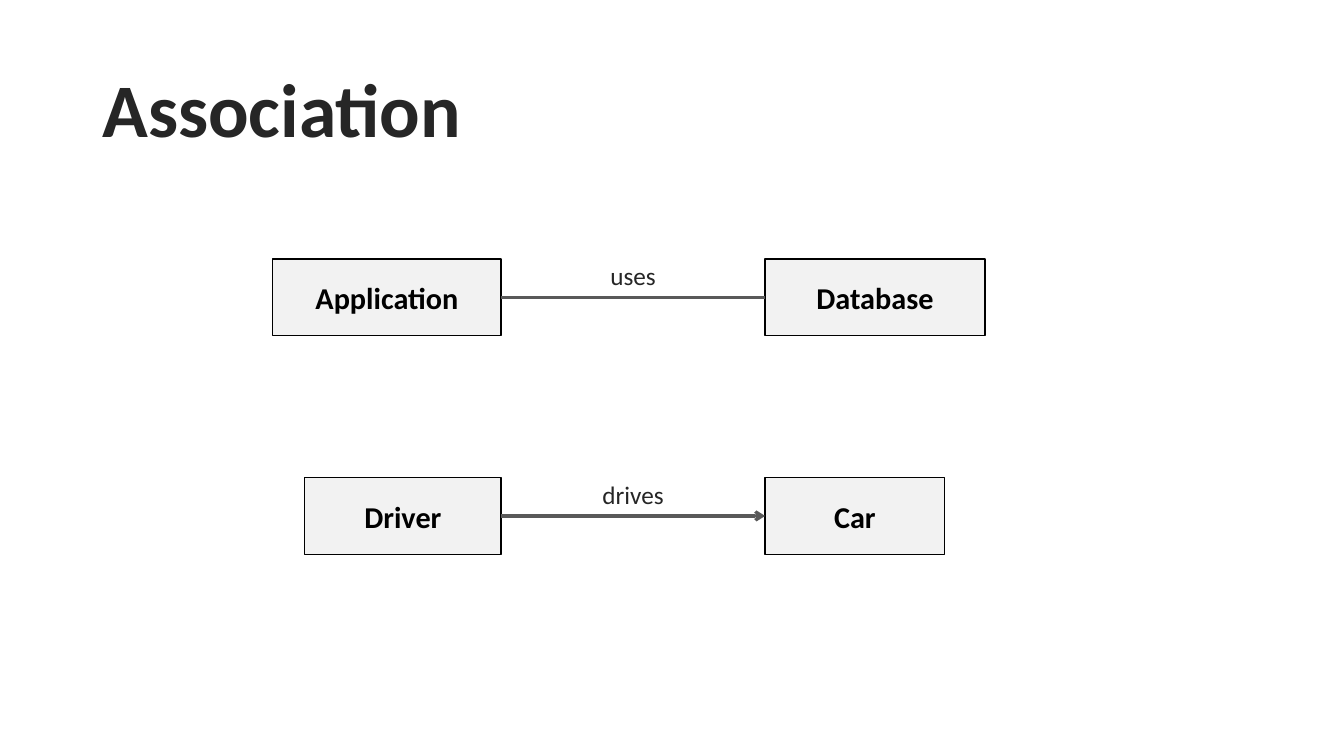
"""Build the Association slide: two pairs of classes joined by labelled lines."""
from lxml import etree
from pptx import Presentation
from pptx.dml.color import RGBColor
from pptx.enum.shapes import MSO_CONNECTOR, MSO_SHAPE
from pptx.enum.text import MSO_ANCHOR, MSO_AUTO_SIZE, PP_ALIGN
from pptx.oxml.ns import qn
from pptx.util import Pt

BLACK = RGBColor(0x00, 0x00, 0x00)
DARK = RGBColor(0x26, 0x26, 0x26)
GREY = RGBColor(0x59, 0x59, 0x59)
PALE = RGBColor(0xF2, 0xF2, 0xF2)

FONT = "Calibri"
BOX_HEIGHT = 54.7
LINK_START, LINK_END = 358, 546.5
LABEL_RISE = 2.5
LABEL_HEIGHT = 29

ASSOCIATIONS = [
    (185, ("Application", 163.2), ("uses", 47.5), ("Database", 157), False),
    (341.2, ("Driver", 140.4), ("drives", 59), ("Car", 128.2), True),
]


def write(frame, text, size, color, bold=False, align=PP_ALIGN.CENTER):
    """Set one paragraph of text and its format."""
    frame.text = text
    paragraph = frame.paragraphs[0]
    paragraph.alignment = align
    font = paragraph.runs[0].font
    font.name, font.size, font.bold = FONT, Pt(size), bold
    font.color.rgb = color


def add_title(slide, text):
    """Place and format the title placeholder."""
    title = slide.shapes.title
    title.left, title.top, title.width, title.height = Pt(66), Pt(28.8), Pt(828), Pt(104.4)
    frame = title.text_frame
    write(frame, text, 54, DARK, bold=True, align=PP_ALIGN.LEFT)
    frame.vertical_anchor = MSO_ANCHOR.MIDDLE
    frame.paragraphs[0].line_spacing = 0.9


def add_class_box(slide, name, left, top, width):
    """Add a class as a pale outlined rectangle."""
    box = slide.shapes.add_shape(
        MSO_SHAPE.RECTANGLE, Pt(left), Pt(top), Pt(width), Pt(BOX_HEIGHT))
    box.shadow.inherit = False
    box.fill.solid()
    box.fill.fore_color.rgb = PALE
    box.line.color.rgb = BLACK
    box.line.width = Pt(1)
    box.text_frame.vertical_anchor = MSO_ANCHOR.MIDDLE
    write(box.text_frame, name, 21.6, BLACK, bold=True)
    return box


def add_link(slide, source, target, directed):
    """Join two class boxes, with an open arrowhead if directed."""
    link = slide.shapes.add_connector(MSO_CONNECTOR.STRAIGHT, 0, 0, 0, 0)
    link.begin_connect(source, 3)
    link.end_connect(target, 1)
    link.line.color.rgb = GREY
    link.line.width = Pt(2.25)
    if directed:
        etree.SubElement(link.line._get_or_add_ln(), qn("a:tailEnd"), type="arrow")
    etree.SubElement(link._element.spPr, qn("a:effectLst"))


def add_label(slide, text, top, width):
    """Add a label centred over the link."""
    left = (LINK_START + LINK_END - width) / 2
    label = slide.shapes.add_textbox(Pt(left), Pt(top), Pt(width), Pt(LABEL_HEIGHT))
    frame = label.text_frame
    frame.word_wrap = False
    frame.auto_size = MSO_AUTO_SIZE.SHAPE_TO_FIT_TEXT
    write(frame, text, 18, DARK)


def add_association(slide, top, source, label, target, directed):
    """Add two class boxes, the link between them and its label."""
    source_name, source_width = source
    label_text, label_width = label
    target_name, target_width = target
    source_box = add_class_box(
        slide, source_name, LINK_START - source_width, top, source_width)
    target_box = add_class_box(slide, target_name, LINK_END, top, target_width)
    add_link(slide, source_box, target_box, directed)
    add_label(slide, label_text, top - LABEL_RISE, label_width)


def main():
    """Build and save the slide."""
    deck = Presentation()
    deck.slide_width, deck.slide_height = Pt(960), Pt(540)
    slide = deck.slides.add_slide(deck.slide_layouts.get_by_name("Title Only"))
    add_title(slide, "Association")
    for association in ASSOCIATIONS:
        add_association(slide, *association)
    deck.save("out.pptx")


if __name__ == "__main__":
    main()
